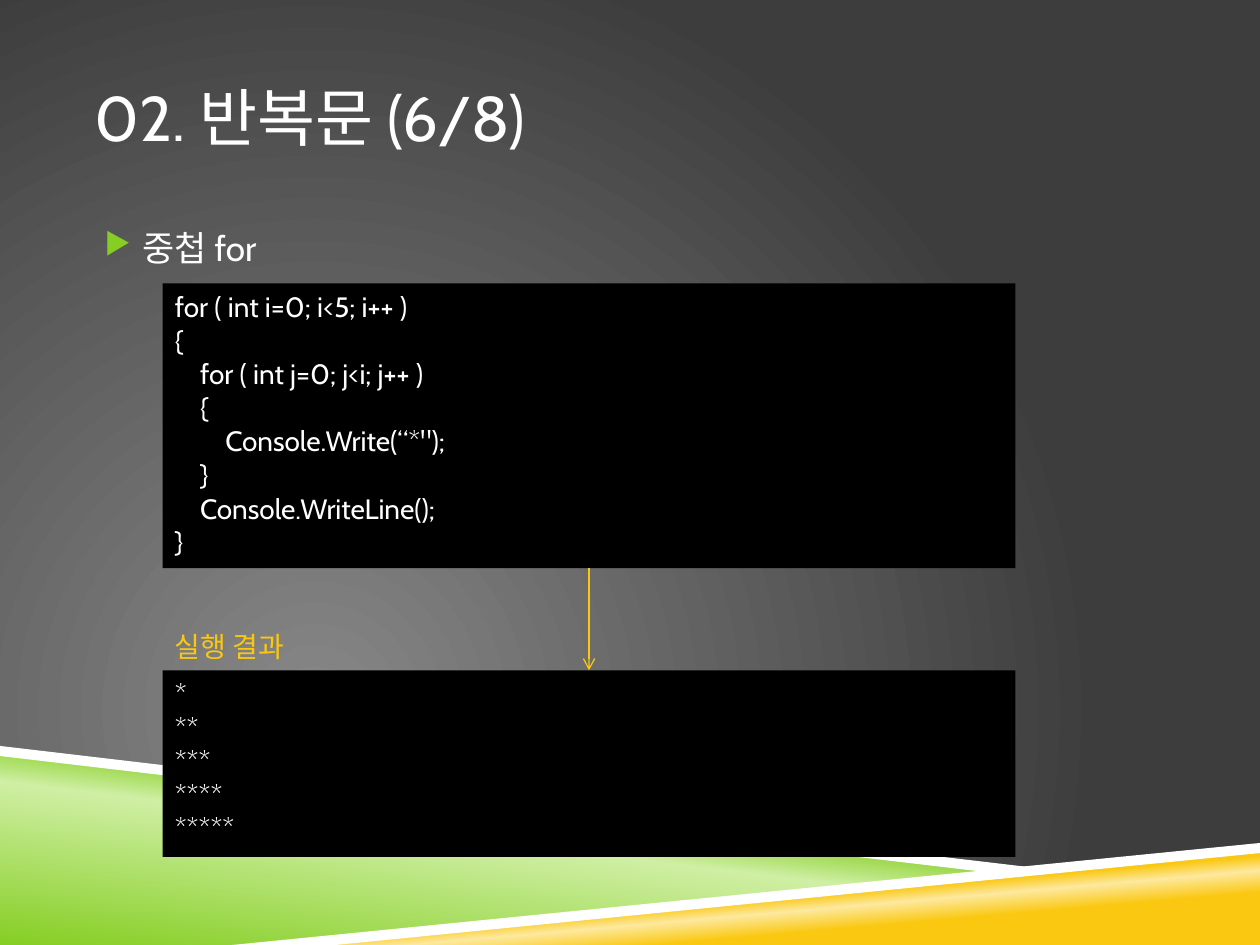
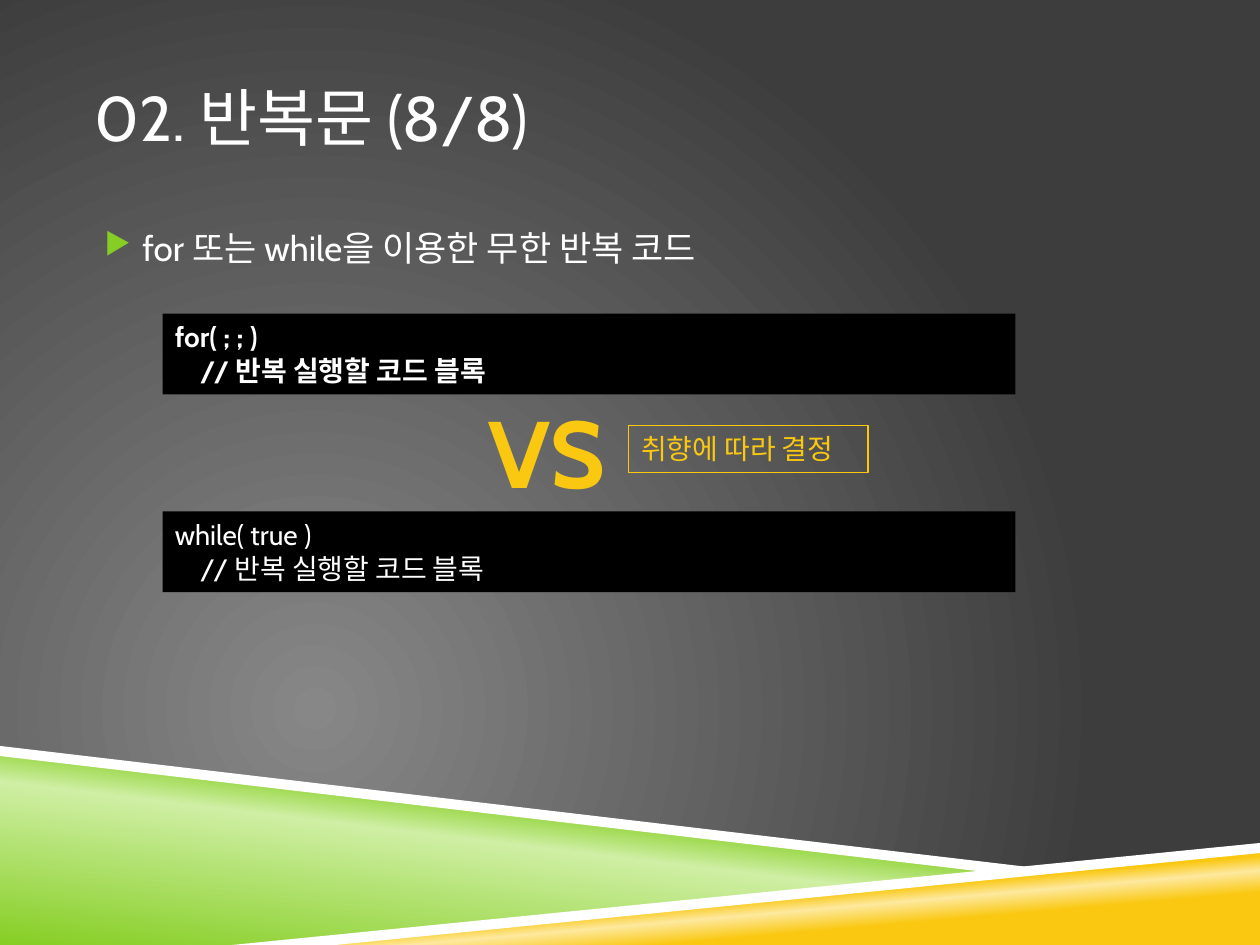
"""Build two lecture slides about nested and endless loops."""
from dataclasses import dataclass

from lxml import etree
from pptx import Presentation
from pptx.dml.color import RGBColor
from pptx.enum.shapes import MSO_CONNECTOR, MSO_SHAPE
from pptx.enum.text import MSO_ANCHOR, MSO_AUTO_SIZE, PP_ALIGN
from pptx.oxml.ns import qn
from pptx.util import Inches, Pt

TOP, MIDDLE = MSO_ANCHOR.TOP, MSO_ANCHOR.MIDDLE
GROW, FIXED = MSO_AUTO_SIZE.SHAPE_TO_FIT_TEXT, MSO_AUTO_SIZE.NONE
LEFT, CENTER = PP_ALIGN.LEFT, PP_ALIGN.CENTER
RECT, STRAIGHT = MSO_SHAPE.RECTANGLE, MSO_CONNECTOR.STRAIGHT


@dataclass(frozen=True)
class Theme:
    font: str = "Cabin"
    white: str = "FFFFFF"
    black: str = "000000"
    green: str = "86CE24"
    pale_green: str = "CFEFA4"
    gold: str = "FAC810"
    pale_gold: str = "FDE99F"
    glow: str = "878787"
    dusk: str = "3D3D3D"
    title: int = 36
    body: int = 20
    code: int = 16
    display: int = 54
    hairline: float = 0.75
    outline: float = 1.5


THEME = Theme()
COLS, ROWS = 100, 75
CODE_LEFT, CODE_WIDTH = 12.9, 67.7
CODE_STEP = 0.2


def rgb(value):
    return RGBColor.from_string(value)


def add(parent, tag, **attrs):
    return etree.SubElement(parent, qn(tag), {k: str(v) for k, v in attrs.items()})


def assign(target, values):
    for name, value in values.items():
        setattr(target, name, value)


class Deck:
    def __init__(self, theme):
        self.t = theme
        self.prs = Presentation()
        assign(self.prs, {"slide_width": Inches(10), "slide_height": Inches(7.5)})
        self.s = None

    def x(self, cols):
        return round(self.prs.slide_width * cols / COLS)

    def y(self, rows):
        return round(self.prs.slide_height * rows / ROWS)

    def box(self, left, top, width, height):
        return self.x(left), self.y(top), self.x(width), self.y(height)

    def gradient(self, fill, root, stops, angle=None):
        fill.gradient()
        grad = root.find(".//" + qn("a:gradFill"))
        for child in list(grad):
            grad.remove(child)
        gs_list = add(grad, "a:gsLst")
        for pos, color in stops:
            add(add(gs_list, "a:gs", pos=pos * 1000), "a:srgbClr", val=color)
        if angle is None:
            circle = add(grad, "a:path", path="circle")
            add(circle, "a:fillToRect", l=50000, t=100000, r=100000, b=50000)
        else:
            add(grad, "a:lin", ang=angle * 60000, scaled=0)

    def band(self, points, color=None, stops=None, angle=0):
        start, *rest = [(self.x(c), self.y(r)) for c, r in points]
        builder = self.s.shapes.build_freeform(*start, scale=1.0)
        builder.add_line_segments(rest, close=True)
        sp = builder.convert_to_shape()
        sp.shadow.inherit = False
        sp.line.fill.background()
        if stops:
            self.gradient(sp.fill, sp._element.spPr, stops, angle)
        else:
            sp.fill.solid()
            sp.fill.fore_color.rgb = rgb(color)

    def new_slide(self, title, topic):
        t = self.t
        self.s = self.prs.slides.add_slide(self.prs.slide_layouts[6])
        self.gradient(self.s.background.fill, self.s._element,
                      [(0, t.glow), (100, t.dusk)])
        self.band([(0, 59.7), (79.2, 69.2), (20, 75), (0, 75)],
                  stops=[(0, t.green), (52, t.pale_green), (66, t.green)], angle=277)
        self.band([(19.8, 75), (100, 67.2), (100, 75)],
                  stops=[(28, t.gold), (40, t.pale_gold), (48, t.gold)], angle=265)
        self.band([(0, 59.2), (0, 60), (79, 69.3), (83.2, 69)], t.white)
        self.band([(100, 66.9), (18.4, 75), (26.6, 75), (100, 67.7)], t.white)
        plain = {"auto_size": FIXED, "margin_left": 0, "margin_right": 0}
        self.text((7.5, 3, 85, 12.5), [(0, title)], size=t.title,
                  frame={**plain, "vertical_anchor": MIDDLE})
        p = self.text((7.5, 17.5, 85, 53.1), [(0, topic)], size=t.body, frame=plain)
        self.bullet(p)

    def bullet(self, p):
        p.space_before = Pt(7)
        pPr = p._p.get_or_add_pPr()
        pPr.set("marL", str(Inches(0.38)))
        pPr.set("indent", str(Inches(-0.3)))
        add(add(pPr, "a:buClr"), "a:srgbClr", val=self.t.green)
        add(pPr, "a:buSzPct", val=85000)
        add(pPr, "a:buChar", char="▶")

    def fill_text(self, sp, lines, size=None, color=None, bold=False, align=LEFT,
                  frame=None):
        tf = sp.text_frame
        assign(tf, {"word_wrap": True, "auto_size": GROW, "vertical_anchor": TOP,
                    **(frame or {})})
        for i, (level, line) in enumerate(lines):
            p = tf.add_paragraph() if i else tf.paragraphs[0]
            p.alignment = align
            if level:
                p._p.get_or_add_pPr().set("marL", str(Inches(CODE_STEP * level)))
            r = p.add_run()
            r.text = line
            assign(r.font, {"name": self.t.font, "size": Pt(size or self.t.code),
                            "bold": bold})
            r.font.color.rgb = rgb(color or self.t.white)
        return p

    def text(self, place, lines, **style):
        sp = self.s.shapes.add_textbox(*self.box(*place))
        return self.fill_text(sp, lines, **style)

    def panel(self, place, lines, fill=None, line=None, **style):
        sp = self.s.shapes.add_shape(RECT, *self.box(*place))
        sp.shadow.inherit = False
        for part, color in ((sp.fill, fill), (sp.line.fill, line)):
            if color:
                part.solid()
                part.fore_color.rgb = rgb(color)
            else:
                part.background()
        if line:
            sp.line.width = Pt(self.t.hairline)
        self.fill_text(sp, lines, **style)

    def code(self, top, height, lines, bold=False):
        self.panel((CODE_LEFT, top, CODE_WIDTH, height), lines,
                   fill=self.t.black, bold=bold)

    def arrow(self, col, top, bottom):
        cxn = self.s.shapes.add_connector(STRAIGHT, self.x(col), self.y(top),
                                          self.x(col), self.y(bottom))
        cxn.line.color.rgb = rgb(self.t.gold)
        cxn.line.width = Pt(self.t.hairline)
        spPr = cxn._element.spPr
        add(spPr.find(qn("a:ln")), "a:tailEnd", type="arrow")
        add(spPr, "a:effectLst")

    def display(self, place, word):
        p = self.text(place, [(0, word)], size=self.t.display, color=self.t.gold,
                      bold=True, align=CENTER, frame={"word_wrap": False})
        rPr = p.runs[0]._r.get_or_add_rPr()
        ln = add(rPr, "a:ln", w=Pt(self.t.outline))
        add(add(ln, "a:solidFill"), "a:srgbClr", val=self.t.white)
        rPr.insert(0, ln)


def nested_loop(deck):
    deck.new_slide("02. 반복문 (6/8)", "중첩 for")
    deck.code(22.5, 22.6, [
        (0, "for ( int i=0; i<5; i++ )"),
        (0, "{"),
        (1, "for ( int j=0; j<i; j++ )"),
        (1, "{"),
        (2, "Console.Write(“*\");"),
        (1, "}"),
        (1, "Console.WriteLine();"),
        (0, "}"),
    ])
    deck.code(53.2, 14.8, [(0, "*" * n) for n in range(1, 6)])
    deck.arrow(CODE_LEFT + CODE_WIDTH / 2, 45.1, 53.2)
    deck.text((CODE_LEFT, 49.5, 11.6, 3.7), [(0, "실행 결과")],
              color=deck.t.gold, frame={"word_wrap": False})


def endless_loop(deck):
    deck.new_slide("02. 반복문 (8/8)", "for 또는 while을 이용한 무한 반복 코드")
    block = (1, "// 반복 실행할 코드 블록")
    deck.code(24.9, 6.4, [(0, "for( ; ; )"), block], bold=True)
    deck.code(40.6, 6.4, [(0, "while( true )"), block])
    deck.display((37.4, 30.8, 12, 10.1), "VS")
    deck.panel((49.9, 33.8, 19, 3.7), [(0, "취향에 따라 결정")], line=deck.t.gold,
               color=deck.t.gold, frame={"word_wrap": False})


deck = Deck(THEME)
nested_loop(deck)
endless_loop(deck)
deck.prs.save("out.pptx")
